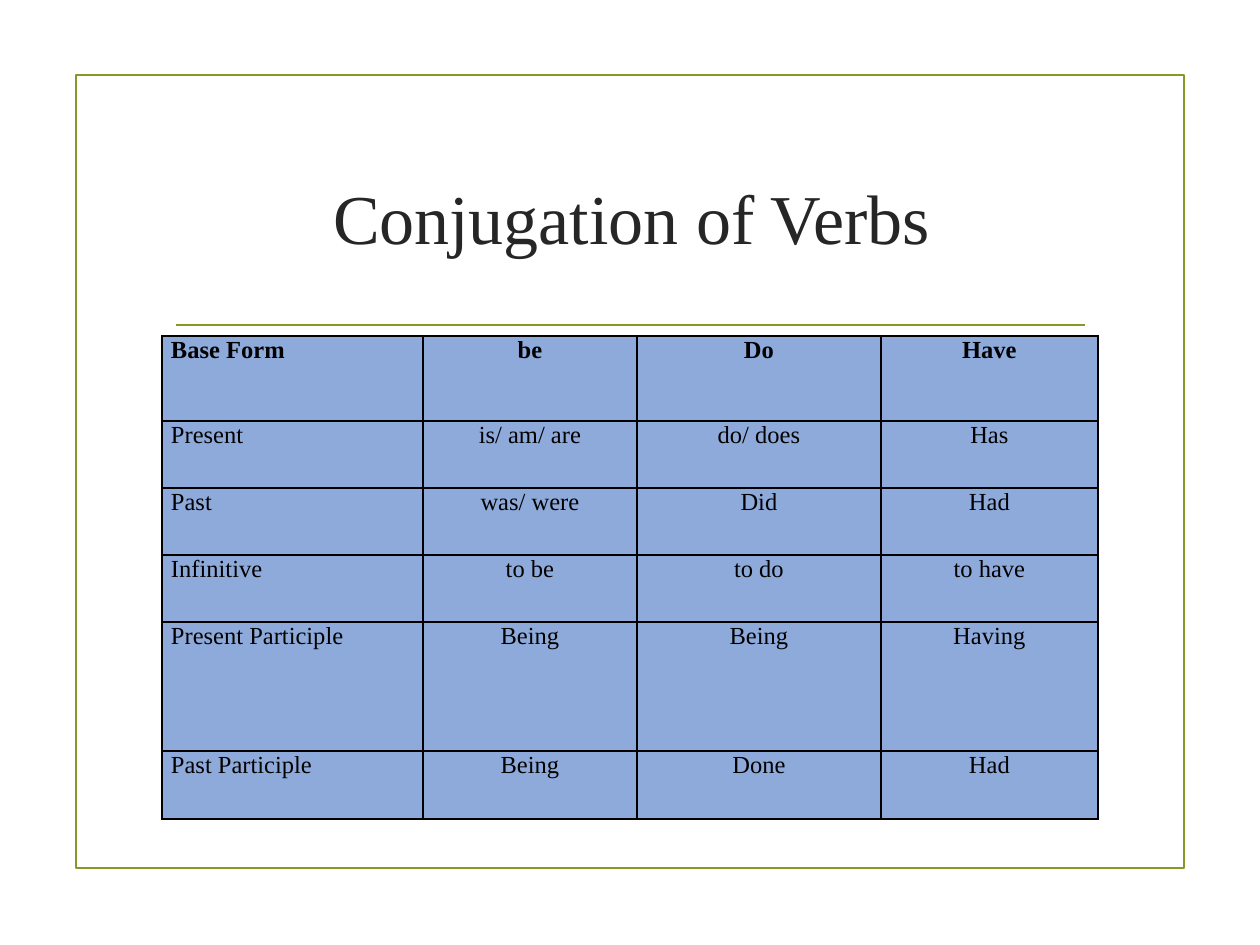
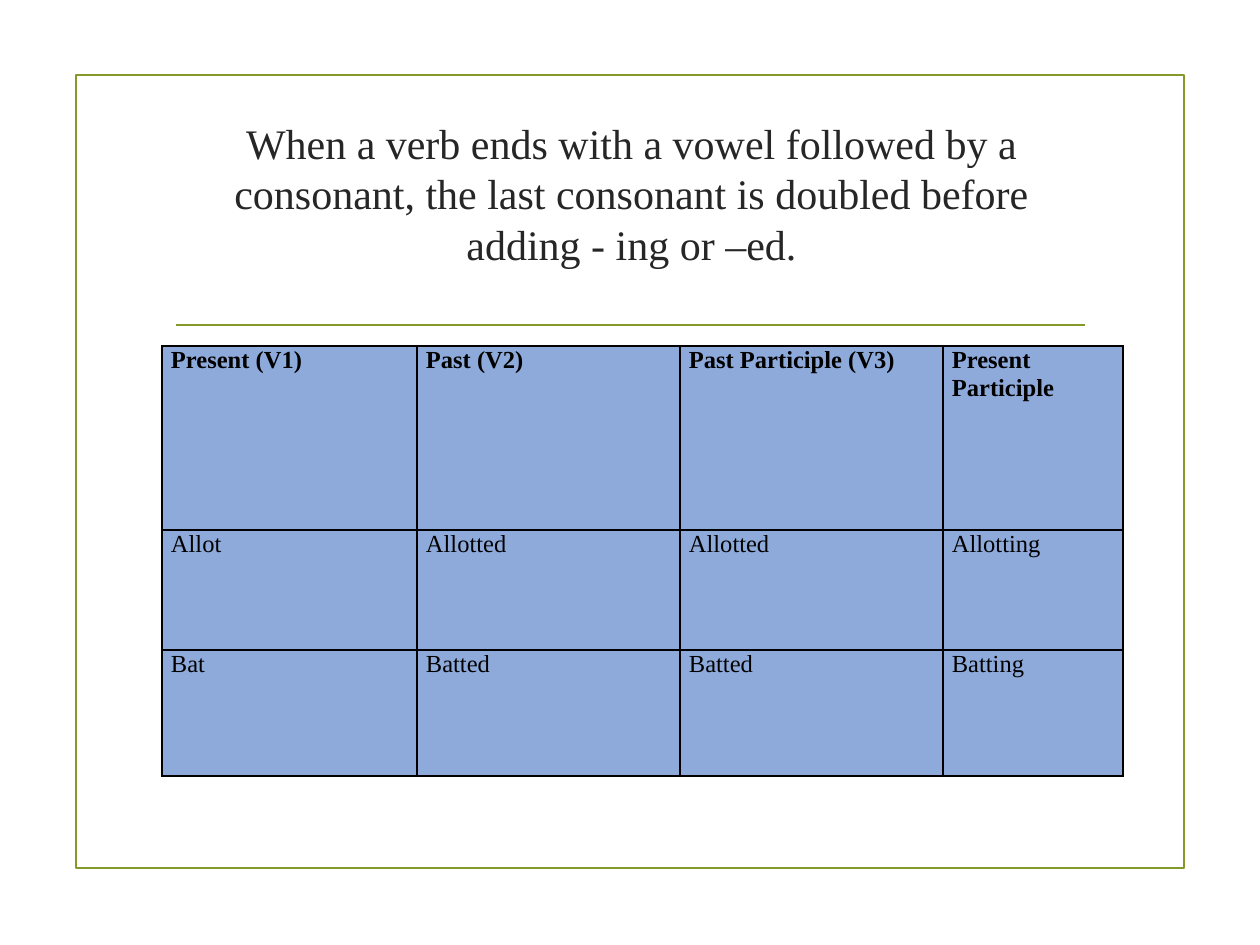
"""Build two slides of verb tables under a shared title style and frame."""
from lxml import etree
from pptx import Presentation
from pptx import util as u
from pptx.dml.color import RGBColor
from pptx.enum import shapes, text
from pptx.oxml.ns import qn

PX_PER_INCH = 126
FONT = "Times New Roman"
GREEN, INK, BLACK, BLUE = "83992A", "262626", "000000", "8EAADB"
LEFT, CENTER = text.PP_ALIGN.LEFT, text.PP_ALIGN.CENTER

FRAME = (76, 75, 1108, 793)
RULE = (176, 325, 1085, 325)
TITLE = (163, 126, 937, 180)
TABLE_LEFT = 162
CELL_INDENT = 9

SLIDES = [
    {
        "title": "Conjugation of Verbs",
        "title_size": 40,
        "title_lift": 0,
        "top": 336,
        "columns": [261, 214, 244, 217],
        "heights": [85, 67, 67, 67, 129, 68],
        "aligns": [LEFT, CENTER, CENTER, CENTER],
        "verbs": [
            ("Base Form", "be", "Do", "Have"),
            ("Present", "is/ am/ are", "do/ does", "Has"),
            ("Past", "was/ were", "Did", "Had"),
            ("Infinitive", "to be", "to do", "to have"),
            ("Present Participle", "Being", "Being", "Having"),
            ("Past Participle", "Being", "Done", "Had"),
        ],
    },
    {
        "title": "When a verb ends with a vowel followed by a consonant, "
                 "the last consonant is doubled before adding - ing or –ed.",
        "title_size": 24,
        "title_lift": 46,
        "top": 346,
        "columns": [255, 263, 263, 180],
        "heights": [184, 120, 126],
        "aligns": [LEFT] * 4,
        "verbs": [
            ("Present (V1)", "Past (V2)", "Past Participle (V3)", "Present Participle"),
            ("Allot", "Allotted", "Allotted", "Allotting"),
            ("Bat", "Batted", "Batted", "Batting"),
        ],
    },
]


def px(*lengths):
    return [u.Emu(round(n * u.Inches(1) / PX_PER_INCH)) for n in lengths]


def color(value):
    return RGBColor.from_string(value)


def write(frame, words, size, ink, align=LEFT, bold=False, spacing=None):
    paragraph = frame.paragraphs[0]
    paragraph.alignment = align
    if spacing:
        paragraph.line_spacing = u.Pt(spacing)
    run = paragraph.add_run()
    run.text = words
    run.font.name, run.font.size, run.font.bold = FONT, u.Pt(size), bold
    run.font.color.rgb = color(ink)


def outline(part):
    part.line.color.rgb = color(GREEN)
    part.line.width = u.Pt(1.25)


def add_frame(slide):
    border = slide.shapes.add_shape(shapes.MSO_SHAPE.RECTANGLE, *px(*FRAME))
    border.fill.background()
    border.shadow.inherit = False
    outline(border)
    rule = slide.shapes.add_connector(shapes.MSO_CONNECTOR.STRAIGHT, *px(*RULE))
    outline(rule)
    etree.SubElement(rule._element.spPr, qn("a:effectLst"))


def add_title(slide, words, size, lift):
    title = slide.shapes.title
    title.left, title.top, title.width, title.height = px(*TITLE)
    frame = title.text_frame
    frame.word_wrap = True
    frame.auto_size = text.MSO_AUTO_SIZE.NONE
    frame.vertical_anchor = text.MSO_ANCHOR.MIDDLE
    frame.margin_top, frame.margin_bottom = px(0, lift)
    write(frame, words, size, INK, align=CENTER)


def add_borders(cell):
    properties = cell._tc.get_or_add_tcPr()
    for place, side in enumerate(("lnL", "lnR", "lnT", "lnB")):
        line = etree.Element(qn(f"a:{side}"), w=str(u.Pt(1)))
        fill = etree.SubElement(line, qn("a:solidFill"))
        etree.SubElement(fill, qn("a:srgbClr"), val=BLACK)
        properties.insert(place, line)


def add_verbs(slide, top, columns, heights, aligns, verbs):
    place = px(TABLE_LEFT, top, sum(columns), sum(heights))
    table = slide.shapes.add_table(len(heights), len(columns), *place).table
    table.first_row = table.horz_banding = False
    for column, width in zip(table.columns, px(*columns)):
        column.width = width
    for number, (row, height) in enumerate(zip(table.rows, px(*heights))):
        row.height = height
        for cell, words, align in zip(row.cells, verbs[number], aligns):
            indent = CELL_INDENT if align == LEFT else 0
            cell.margin_left, cell.margin_right = px(indent, 0)
            cell.margin_top, cell.margin_bottom = px(0, 0)
            cell.fill.solid()
            cell.fill.fore_color.rgb = color(BLUE)
            add_borders(cell)
            write(cell.text_frame, words, 14, BLACK, align=align,
                  bold=number == 0, spacing=16)


def main():
    deck = Presentation()
    deck.slide_width, deck.slide_height = u.Inches(10), u.Inches(7.5)
    title_only = deck.slide_layouts[5]
    for page in SLIDES:
        slide = deck.slides.add_slide(title_only)
        add_frame(slide)
        add_title(slide, page["title"], page["title_size"], page["title_lift"])
        add_verbs(slide, page["top"], page["columns"], page["heights"],
                  page["aligns"], page["verbs"])
    deck.save("out.pptx")


if __name__ == "__main__":
    main()
